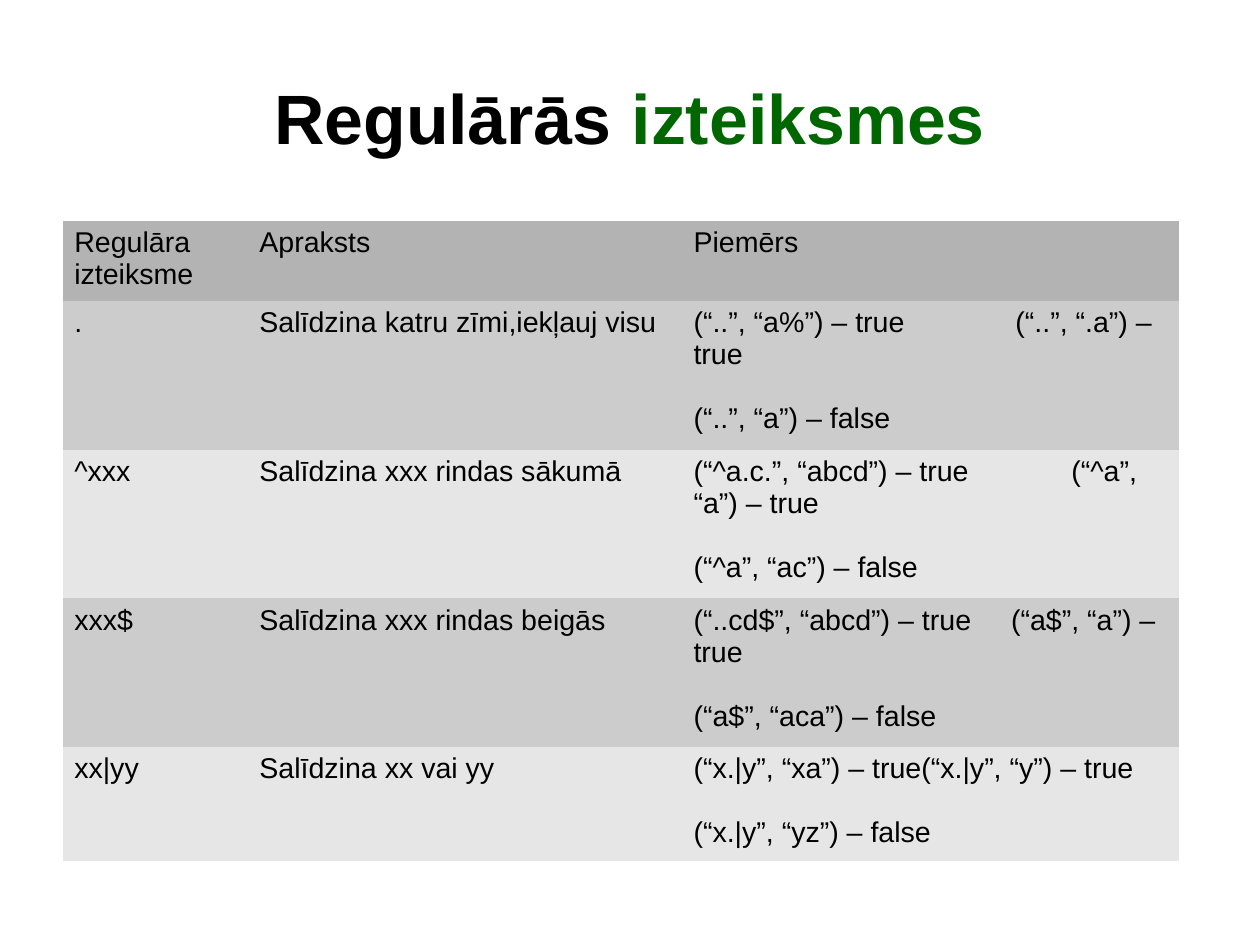
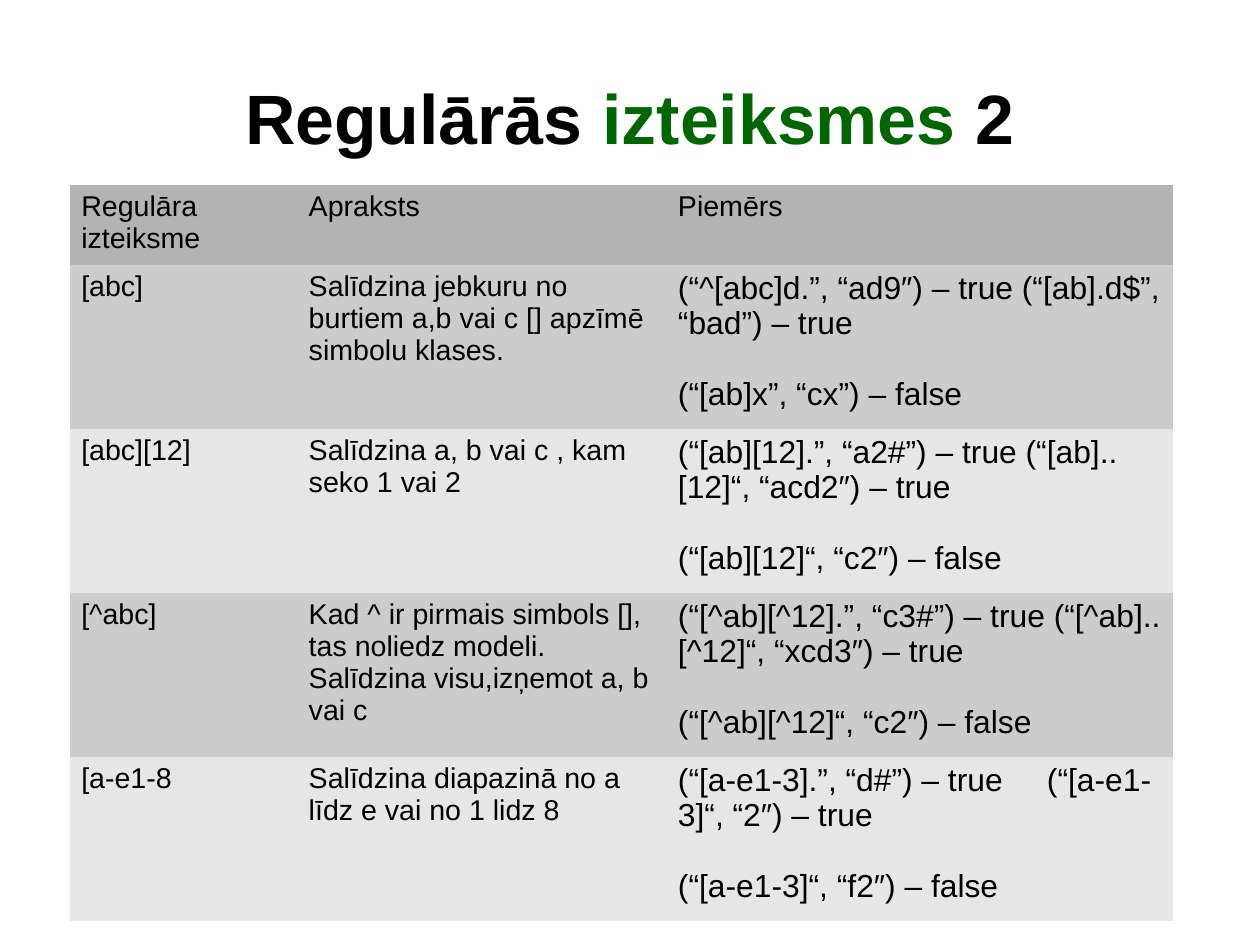
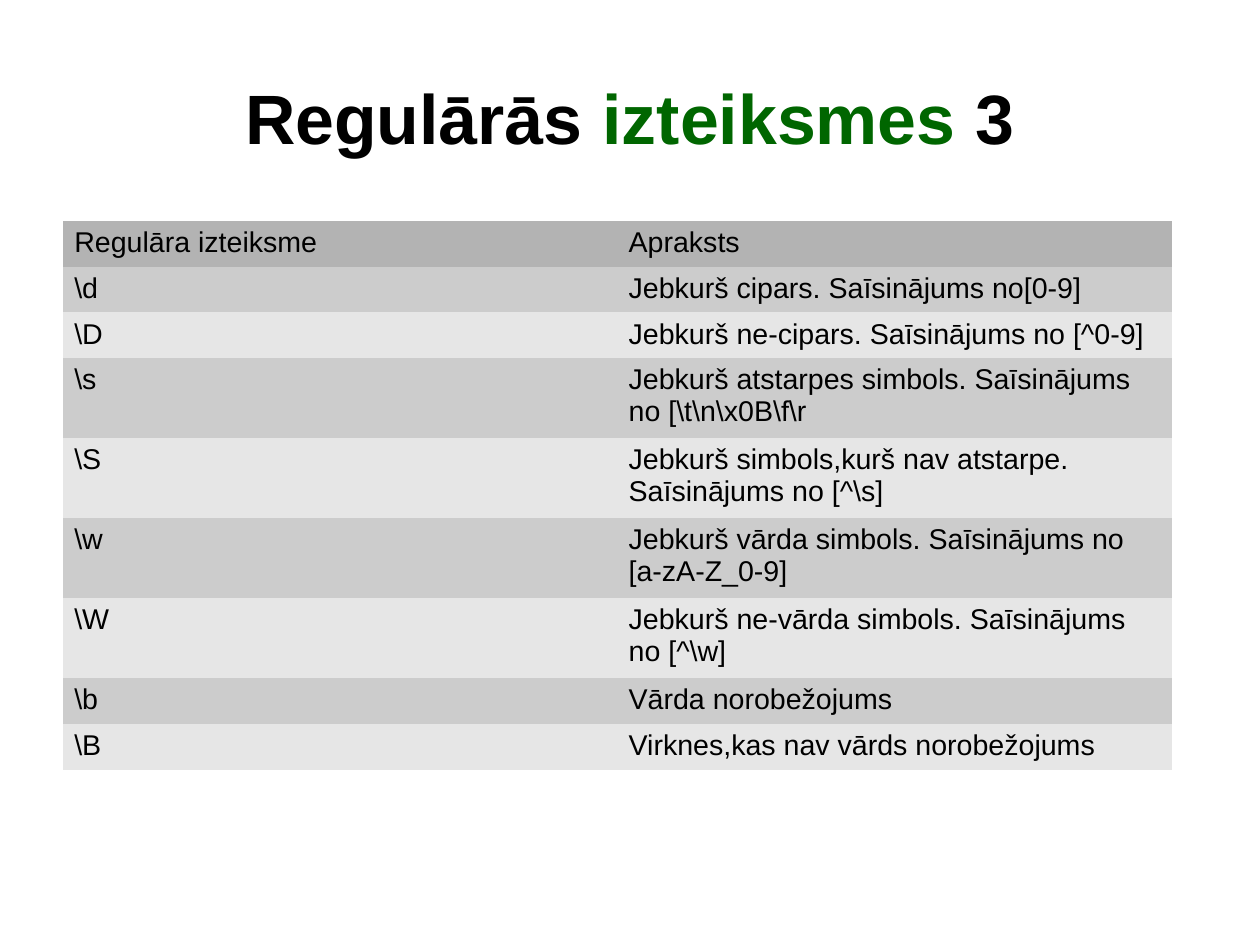
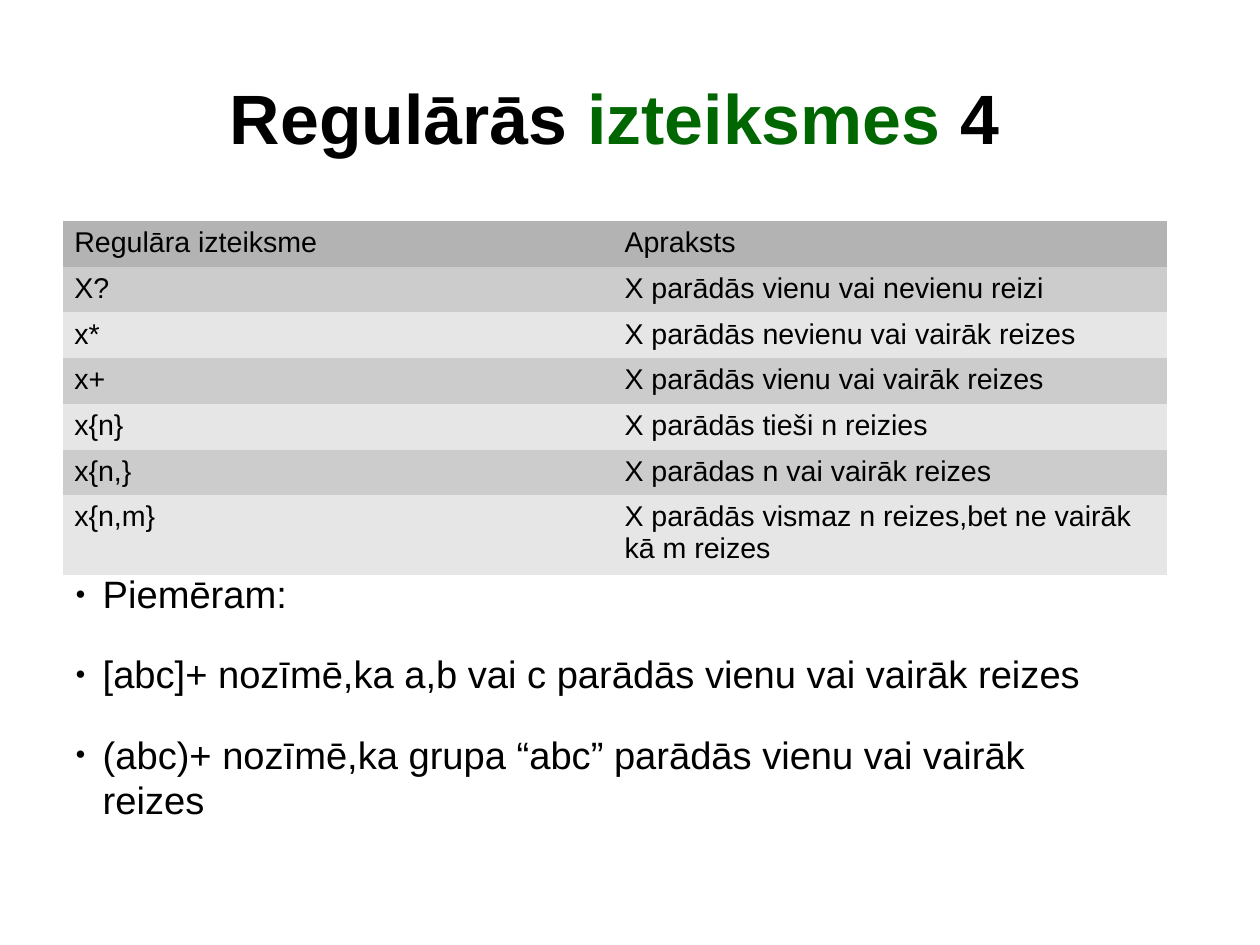
from dataclasses import dataclass

from lxml.etree import SubElement
from pptx import Presentation
from pptx.dml.color import RGBColor
from pptx.enum.text import MSO_ANCHOR, MSO_AUTO_SIZE, PP_ALIGN
from pptx.oxml.ns import qn
from pptx.util import Pt


@dataclass(frozen=True)
class Theme:
    font: str = "Arial"
    text: str = "000000"
    accent: str = "006600"
    header_fill: str = "B3B3B3"
    band_fills: tuple = ("CCCCCC", "E6E6E6")
    title_size: float = 44
    list_size: float = 24
    table_size: float = 18
    large_table_size: float = 20
    line_pitch: float = 1.12
    plain_table_style: str = "{2D5ABB26-0587-4C30-8999-92F81FD0307C}"


@dataclass(frozen=True)
class Box:
    left: float
    top: float
    width: float
    height: float

    def place(self, shape):
        shape.left, shape.top = Pt(self.left), Pt(self.top)
        shape.width, shape.height = Pt(self.width), Pt(self.height)


@dataclass(frozen=True)
class Examples:
    """Matches on the first line, parted at a tab stop if given, then a mismatch."""
    matches: str
    mismatch: str
    tab_stop: float = 0


THEME = Theme()
TITLE_ONLY, TITLE_AND_CONTENT = 5, 1
ONE_LINE, TWO_LINES = 28.8, 50.4
TITLE_BOX = Box(39.6, 23.8, 714.2, 99.3)
TABLE_LEFT, TABLE_TOP = 39.6, 139.2

EXAMPLE_HEADER = ("Regulāra izteiksme", "Apraksts", "Piemērs")
SHORT_HEADER = EXAMPLE_HEADER[:2]

BASIC_ROWS = [
    EXAMPLE_HEADER,
    (".", "Salīdzina katru zīmi,iekļauj visu",
     Examples("(“..”, “a%”) – true\t(“..”, “.a”) – true", "(“..”, “a”) – false", 202.8)),
    ("^xxx", "Salīdzina xxx rindas sākumā",
     Examples("(“^a.c.”, “abcd”) – true\t(“^a”, “a”) – true", "(“^a”, “ac”) – false", 238)),
    ("xxx$", "Salīdzina xxx rindas beigās",
     Examples("(“..cd$”, “abcd”) – true\t(“a$”, “a”) – true", "(“a$”, “aca”) – false", 200)),
    ("xx|yy", "Salīdzina xx vai yy",
     Examples("(“x.|y”, “xa”) – true(“x.|y”, “y”) – true", "(“x.|y”, “yz”) – false")),
]

CLASS_ROWS = [
    EXAMPLE_HEADER,
    ("[abc]", "Salīdzina jebkuru no burtiem a,b vai c [] apzīmē simbolu klases.",
     Examples("(“^[abc]d.”, “ad9″) – true (“[ab].d$”, “bad”) – true", "(“[ab]x”, “cx”) – false")),
    ("[abc][12]", "Salīdzina a, b vai c , kam seko 1 vai 2",
     Examples("(“[ab][12].”, “a2#”) – true (“[ab]..[12]“, “acd2″) – true",
              "(“[ab][12]“, “c2″) – false")),
    ("[^abc]", "Kad ^ ir pirmais simbols [], tas noliedz modeli. Salīdzina visu,izņemot a, b vai c",
     Examples("(“[^ab][^12].”, “c3#”) – true (“[^ab]..[^12]“, “xcd3″) – true",
              "(“[^ab][^12]“, “c2″) – false")),
    ("[a-e1-8", "Salīdzina diapazinā no a līdz e vai no 1 lidz 8",
     Examples("(“[a-e1-3].”, “d#”) – true\t(“[a-e1-3]“, “2″) – true",
              "(“[a-e1-3]“, “f2″) – false", 232.4)),
]

SHORTHAND_ROWS = [
    SHORT_HEADER,
    (r"\d", "Jebkurš cipars. Saīsinājums no[0-9]"),
    (r"\D", "Jebkurš ne-cipars. Saīsinājums no [^0-9]"),
    (r"\s", r"Jebkurš atstarpes simbols. Saīsinājums no [\t\n\x0B\f\r"),
    (r"\S", r"Jebkurš simbols,kurš nav atstarpe. Saīsinājums no [^\s]"),
    (r"\w", "Jebkurš vārda simbols. Saīsinājums no [a-zA-Z_0-9]"),
    (r"\W", r"Jebkurš ne-vārda simbols. Saīsinājums no [^\w]"),
    (r"\b", "Vārda norobežojums"),
    (r"\B", "Virknes,kas nav vārds norobežojums"),
]

QUANTIFIER_ROWS = [
    SHORT_HEADER,
    ("X?", "X parādās vienu vai nevienu reizi"),
    ("x*", "X parādās nevienu vai vairāk reizes"),
    ("x+", "X parādās vienu vai vairāk reizes"),
    ("x{n}", "X parādās tieši n reizies"),
    ("x{n,}", "X parādas n vai vairāk reizes"),
    ("x{n,m}", "X parādās vismaz n reizes,bet ne vairāk kā m reizes"),
]

QUANTIFIER_NOTES = [
    "Piemēram:",
    "[abc]+ nozīmē,ka a,b vai c parādās vienu vai vairāk reizes",
    "(abc)+ nozīmē,ka grupa “abc” parādās vienu vai vairāk reizes",
]


def add_run(paragraph, text, size, color=THEME.text, bold=False):
    run = paragraph.add_run()
    run.text = text
    run.font.name = THEME.font
    run.font.size = Pt(size)
    run.font.bold = bold
    run.font.color.rgb = RGBColor.from_string(color)


def next_paragraph(frame, index):
    return frame.add_paragraph() if index else frame.paragraphs[0]


def add_tab_stop(paragraph, position):
    tab_list = SubElement(paragraph._p.get_or_add_pPr(), qn("a:tabLst"))
    SubElement(tab_list, qn("a:tab"), pos=str(Pt(position)), algn="l")


def add_bullet(paragraph, indent):
    properties = paragraph._p.get_or_add_pPr()
    properties.set("marL", str(Pt(indent)))
    properties.set("indent", str(-Pt(indent)))
    color = SubElement(properties, qn("a:buClr"))
    SubElement(color, qn("a:srgbClr"), val=THEME.text)
    SubElement(properties, qn("a:buSzPct"), val="45000")
    SubElement(properties, qn("a:buFont"), typeface=THEME.font)
    SubElement(properties, qn("a:buChar"), char="●")


def fill_title(slide, box, number):
    title = slide.shapes.title
    box.place(title)
    frame = title.text_frame
    frame.margin_left = frame.margin_right = frame.margin_top = frame.margin_bottom = 0
    frame.vertical_anchor = MSO_ANCHOR.MIDDLE
    frame.auto_size = MSO_AUTO_SIZE.NONE
    paragraph = frame.paragraphs[0]
    paragraph.alignment = PP_ALIGN.CENTER
    add_run(paragraph, "Regulārās ", THEME.title_size, bold=True)
    add_run(paragraph, "izteiksmes", THEME.title_size, THEME.accent, bold=True)
    if number:
        add_run(paragraph, f" {number}", THEME.title_size, bold=True)


def fill_examples(frame, examples, size):
    for index, text in enumerate((examples.matches, examples.mismatch)):
        paragraph = next_paragraph(frame, index)
        if index:
            paragraph.space_before = Pt(round(size * THEME.line_pitch, 1))
        elif examples.tab_stop:
            add_tab_stop(paragraph, examples.tab_stop)
        add_run(paragraph, text, size)


def row_fill(index):
    return THEME.band_fills[(index - 1) % 2] if index else THEME.header_fill


def add_pattern_table(slide, left, top, widths, heights, rows, example_size=THEME.table_size):
    frame = slide.shapes.add_table(len(rows), len(widths), Pt(left), Pt(top),
                                   Pt(sum(widths)), Pt(sum(heights)))
    table = frame.table
    table.first_row = table.horz_banding = False
    table._tbl.tblPr.find(qn("a:tableStyleId")).text = THEME.plain_table_style
    for column, width in zip(table.columns, widths):
        column.width = Pt(width)
    for index, (row, height, contents) in enumerate(zip(table.rows, heights, rows)):
        row.height = Pt(height)
        for cell, content in zip(row.cells, contents):
            cell.fill.solid()
            cell.fill.fore_color.rgb = RGBColor.from_string(row_fill(index))
            if isinstance(content, Examples):
                fill_examples(cell.text_frame, content, example_size)
            else:
                add_run(cell.text_frame.paragraphs[0], content, THEME.table_size)


def fill_notes(slide, box, notes):
    body = slide.placeholders[1]
    box.place(body)
    frame = body.text_frame
    frame.auto_size = MSO_AUTO_SIZE.NONE
    for index, note in enumerate(notes):
        paragraph = next_paragraph(frame, index)
        add_bullet(paragraph, indent=17.2)
        paragraph.space_before = Pt(11.9 if index else 0)
        paragraph.space_after = Pt(9.9)
        add_run(paragraph, note, THEME.list_size)


def add_titled_slide(presentation, layout, number="", title_box=TITLE_BOX):
    slide = presentation.slides.add_slide(presentation.slide_layouts[layout])
    fill_title(slide, title_box, number)
    return slide


def main():
    presentation = Presentation()
    presentation.slide_width, presentation.slide_height = Pt(793.7), Pt(595.3)

    basics = add_titled_slide(presentation, TITLE_ONLY)
    add_pattern_table(basics, TABLE_LEFT, TABLE_TOP, (116.6, 273.5, 313),
                      [TWO_LINES] + [93.7] * 3 + [72], BASIC_ROWS)

    classes = add_titled_slide(presentation, TITLE_ONLY, "2")
    add_pattern_table(classes, 44, 116.6, (143.3, 232.6, 319),
                      [TWO_LINES] + [103.3] * 4, CLASS_ROWS, THEME.large_table_size)

    shorthands = add_titled_slide(presentation, TITLE_ONLY, "3")
    add_pattern_table(shorthands, TABLE_LEFT, TABLE_TOP, (349.2, 349.2),
                      [ONE_LINE] * 3 + [TWO_LINES] * 4 + [ONE_LINE] * 2, SHORTHAND_ROWS)

    shifted_title = Box(TITLE_BOX.left, TITLE_BOX.top, TITLE_BOX.width - 19, TITLE_BOX.height)
    quantifiers = add_titled_slide(presentation, TITLE_AND_CONTENT, "4", shifted_title)
    add_pattern_table(quantifiers, TABLE_LEFT, TABLE_TOP, (346.6, 349.2),
                      [ONE_LINE] * 6 + [TWO_LINES], QUANTIFIER_ROWS)
    fill_notes(quantifiers, Box(40.3, 355.7, 679.7, 177.8), QUANTIFIER_NOTES)

    presentation.save("out.pptx")


if __name__ == "__main__":
    main()
